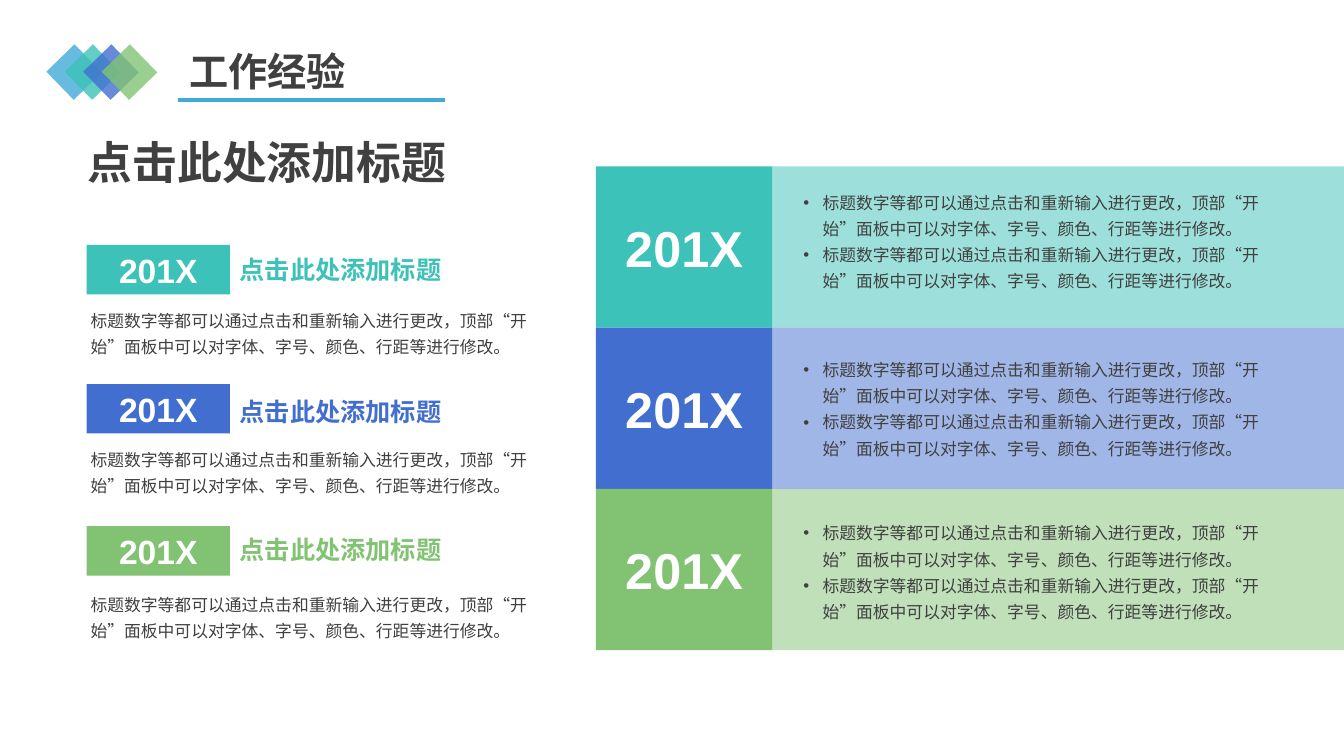
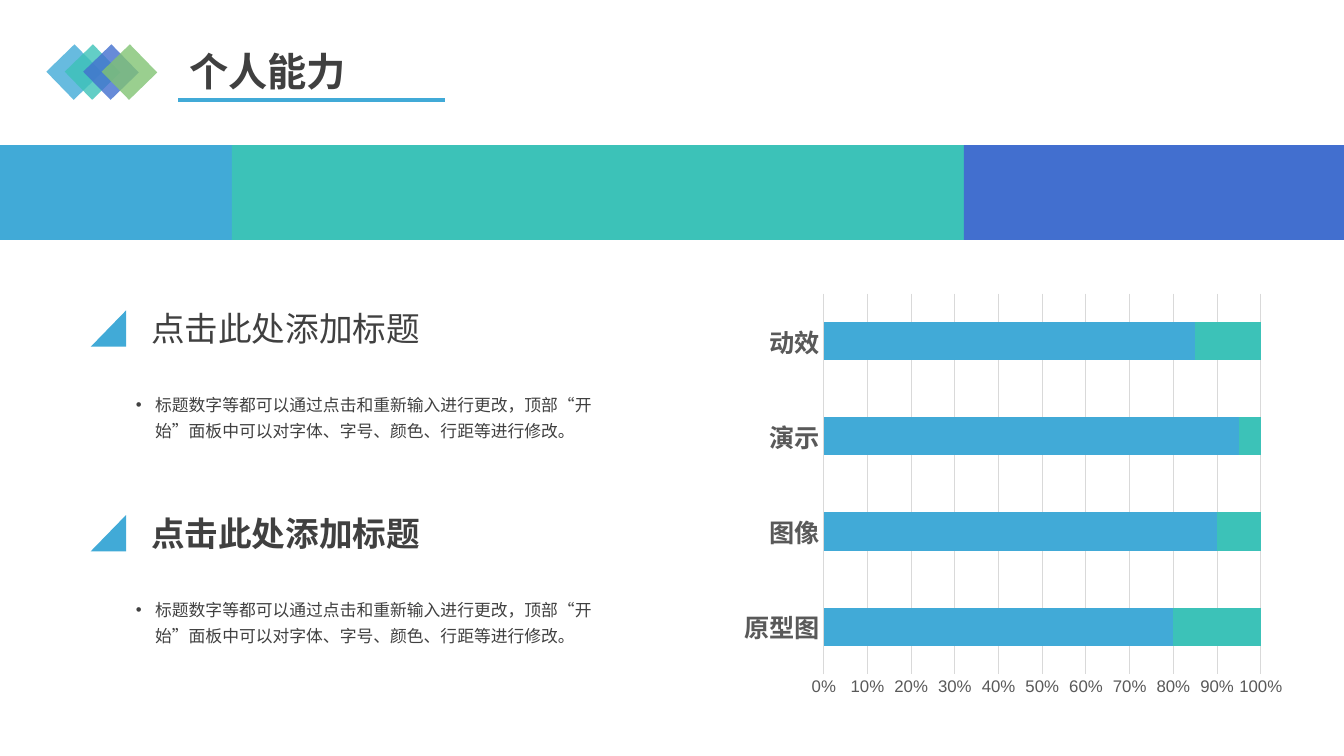
from lxml import etree
from pptx import Presentation
from pptx.chart.data import CategoryChartData
from pptx.dml.color import RGBColor
from pptx.enum.chart import XL_CHART_TYPE, XL_TICK_MARK
from pptx.enum.shapes import MSO_CONNECTOR, MSO_SHAPE
from pptx.enum.text import MSO_ANCHOR, PP_ALIGN
from pptx.oxml.ns import qn
from pptx.util import Inches, Pt

RECTANGLE, TRIANGLE = MSO_SHAPE.RECTANGLE, MSO_SHAPE.ISOSCELES_TRIANGLE
STRAIGHT = MSO_CONNECTOR.STRAIGHT
TOP, MIDDLE, BOTTOM = MSO_ANCHOR.TOP, MSO_ANCHOR.MIDDLE, MSO_ANCHOR.BOTTOM
LEFT, CENTER = PP_ALIGN.LEFT, PP_ALIGN.CENTER
BAR_STACKED_100 = XL_CHART_TYPE.BAR_STACKED_100
NO_TICK = XL_TICK_MARK.NONE

BLUE, TEAL, INDIGO, GREEN = "41AAD7", "3CC2B8", "426FCF", "81C373"
DARK, GRAY, GRID, WHITE = "404040", "595959", "D9D9D9", "FFFFFF"
LATIN, CHINESE = "Arial", "Noto Sans CJK SC"

TITLE_STYLE = {"size": 28, "bold": True, "name": CHINESE, "color": DARK}
HEADING_STYLE = {"size": 32, "bold": True, "name": LATIN, "color": DARK}
ENTRY_STYLE = {"size": 18, "bold": True, "name": LATIN}
BODY_STYLE = {"size": 12, "name": CHINESE, "color": DARK}
YEAR_STYLE = {"bold": True, "name": LATIN, "color": WHITE}

HEADING = "点击此处添加标题"
BODY = "标题数字等都可以通过点击和重新输入进行更改，顶部“开始”面板中可以对字体、字号、颜色、行距等进行修改。"
YEAR = "201X"

EXPERIENCE_TITLE = "工作经验"
EXPERIENCES = [
    {"color": TEAL, "tag": 2.43, "heading": 2.47, "body": 2.97, "bullets": 1.8},
    {"color": INDIGO, "tag": 3.81, "heading": 3.88, "body": 4.35, "bullets": 3.46},
    {"color": GREEN, "tag": 5.22, "heading": 5.25, "body": 5.79, "bullets": 5.08},
]
ROW_TOP, ROW_HEIGHT = 1.65, 1.6

ABILITY_TITLE = "个人能力"
BANDS = [(0, 2.48, BLUE), (2.3, 7.26, TEAL), (9.56, 3.77, INDIGO)]
ABILITIES = [(3.01, False), (5.04, True)]
SKILLS = ["原型图", "图像", "演示", "动效"]
SKILL_SERIES = [("Series 1", [80, 90, 95, 85], BLUE), ("Series 2", [20, 10, 5, 15], TEAL)]


def rgb(value):
    """Turn a hex string into a colour."""
    return RGBColor.from_string(value)


def set_font(font, style):
    """Apply a dict of format values to a font."""
    for key, value in style.items():
        if key == "color":
            font.color.rgb = rgb(value)
        else:
            setattr(font, key, Pt(value) if key == "size" else value)


def write(shape, lines, style, align=LEFT, anchor=TOP, spacing=None, bullet=False):
    """Fill a shape with one paragraph for each line."""
    frame = shape.text_frame
    frame.word_wrap = True
    frame.vertical_anchor = anchor
    for index, line in enumerate(lines):
        paragraph = frame.paragraphs[0] if index == 0 else frame.add_paragraph()
        paragraph.alignment = align
        if spacing:
            paragraph.line_spacing = spacing
        run = paragraph.add_run()
        run.text = line
        set_font(run.font, style)
        east_asian = etree.Element(qn("a:ea"), typeface=CHINESE)
        run.font._element.find(qn("a:latin")).addnext(east_asian)
        if bullet:
            properties = paragraph._p.get_or_add_pPr()
            properties.set("marL", str(Inches(0.19)))
            properties.set("indent", str(-Inches(0.19)))
            etree.SubElement(properties, qn("a:buFont"), typeface=LATIN)
            etree.SubElement(properties, qn("a:buChar"), char="•")


def add_text(slide, box, lines, style, **options):
    """Add a text box at left, top, width, height in inches."""
    write(slide.shapes.add_textbox(*map(Inches, box)), lines, style, **options)


def add_block(slide, box, color, opacity=100, kind=RECTANGLE):
    """Add a plain filled shape without an outline."""
    shape = slide.shapes.add_shape(kind, *map(Inches, box))
    shape.shadow.inherit = False
    shape.fill.solid()
    shape.fill.fore_color.rgb = rgb(color)
    shape.line.fill.background()
    if opacity < 100:
        fill_color = shape._element.spPr.find(qn("a:solidFill"))[0]
        etree.SubElement(fill_color, qn("a:alpha"), val=str(opacity * 1000))
    return shape


def add_year(slide, box, color, size):
    """Add a coloured block with a centred year."""
    write(add_block(slide, box, color), [YEAR], {"size": size, **YEAR_STYLE},
          align=CENTER, anchor=MIDDLE)


def add_titled_slide(presentation, title):
    """Add a slide with the diamonds, the rule and the title."""
    slide = presentation.slides.add_slide(presentation.slide_layouts[6])
    for index, color in enumerate((BLUE, TEAL, INDIGO, GREEN)):
        diamond = add_block(slide, (0.54 + index * 0.183, 0.52, 0.39, 0.39), color, 80)
        diamond.rotation = 45.8
    rule = slide.shapes.add_connector(STRAIGHT, *map(Inches, (1.77, 0.99, 4.41, 0.99)))
    rule.line.color.rgb = rgb(BLUE)
    rule.line.width = Pt(3)
    etree.SubElement(rule._element.spPr, qn("a:effectLst"))
    add_text(slide, (1.78, 0.44, 2.69, 0.55), [title], TITLE_STYLE, anchor=BOTTOM, spacing=0.9)
    return slide


def build_experience(presentation):
    """Build the slide with the dated experience entries."""
    slide = add_titled_slide(presentation, EXPERIENCE_TITLE)
    add_text(slide, (0.77, 1.29, 3.85, 0.64), [HEADING], HEADING_STYLE)
    for index, entry in enumerate(EXPERIENCES):
        color, top = entry["color"], ROW_TOP + index * ROW_HEIGHT
        add_year(slide, (5.91, top, 1.75, ROW_HEIGHT), color, 36)
        add_block(slide, (7.66, top, 5.67, ROW_HEIGHT), color, 50)
        add_text(slide, (7.87, entry["bullets"], 5.13, 1.15), [BODY] * 2, BODY_STYLE,
                 spacing=1.3, bullet=True)
        add_year(slide, (0.86, entry["tag"], 1.42, 0.49), color, 24)
        add_text(slide, (2.28, entry["heading"], 3.17, 0.42), [HEADING],
                 {**ENTRY_STYLE, "color": color})
        add_text(slide, (0.8, entry["body"], 4.65, 0.63), [BODY], BODY_STYLE, spacing=1.3)


def add_skill_chart(slide):
    """Add the stacked bar chart of skills."""
    data = CategoryChartData()
    data.categories = SKILLS
    for name, values, _ in SKILL_SERIES:
        data.add_series(name, values)
    box = map(Inches, (7.27, 2.83, 5.56, 4.16))
    chart = slide.shapes.add_chart(BAR_STACKED_100, *box, data).chart
    chart.has_legend = chart.has_title = False
    set_font(chart.font, {"size": 10, "name": LATIN, "color": "000000"})
    plot = chart.plots[0]
    plot.gap_width, plot.overlap, plot.vary_by_categories = 150, 100, False
    for series, (_, _, color) in zip(plot.series, SKILL_SERIES):
        series.format.fill.solid()
        series.format.fill.fore_color.rgb = rgb(color)
    names, percents = chart.category_axis, chart.value_axis
    set_font(names.tick_labels.font, {"size": 18, "bold": True, "name": CHINESE, "color": GRAY})
    set_font(percents.tick_labels.font, {"size": 12, "name": LATIN, "color": GRAY})
    for axis in (names, percents):
        axis.major_tick_mark = axis.minor_tick_mark = NO_TICK
    names.has_major_gridlines = False
    percents.has_major_gridlines = True
    for line in (names.format.line, percents.major_gridlines.format.line):
        line.color.rgb = rgb(GRID)
        line.width = Pt(0.75)
    percents.format.line.fill.background()
    percents.major_unit = 0.1
    percents.minimum_scale, percents.maximum_scale = 0, 1
    percents.tick_labels.number_format = "0%"
    percents.tick_labels.number_format_is_linked = False


def build_ability(presentation):
    """Build the slide with the colour bands and the skill chart."""
    slide = add_titled_slide(presentation, ABILITY_TITLE)
    for left, width, color in BANDS:
        add_block(slide, (left, 1.44, width, 0.94), color)
    for top, bold in ABILITIES:
        marker = add_block(slide, (0.9, top + 0.07, 0.35, 0.36), BLUE, kind=TRIANGLE)
        marker.adjustments[0] = 1
        add_text(slide, (1.4, top, 4.04, 0.5), [HEADING],
                 {**HEADING_STYLE, "size": 24, "bold": bold})
        add_text(slide, (1.25, top + 0.8, 5.05, 0.63), [BODY], BODY_STYLE,
                 spacing=1.3, bullet=True)
    add_skill_chart(slide)


def main():
    """Build and save the presentation."""
    presentation = Presentation()
    presentation.slide_width = Inches(13.33)
    presentation.slide_height = Inches(7.5)
    build_experience(presentation)
    build_ability(presentation)
    presentation.save("out.pptx")


if __name__ == "__main__":
    main()
